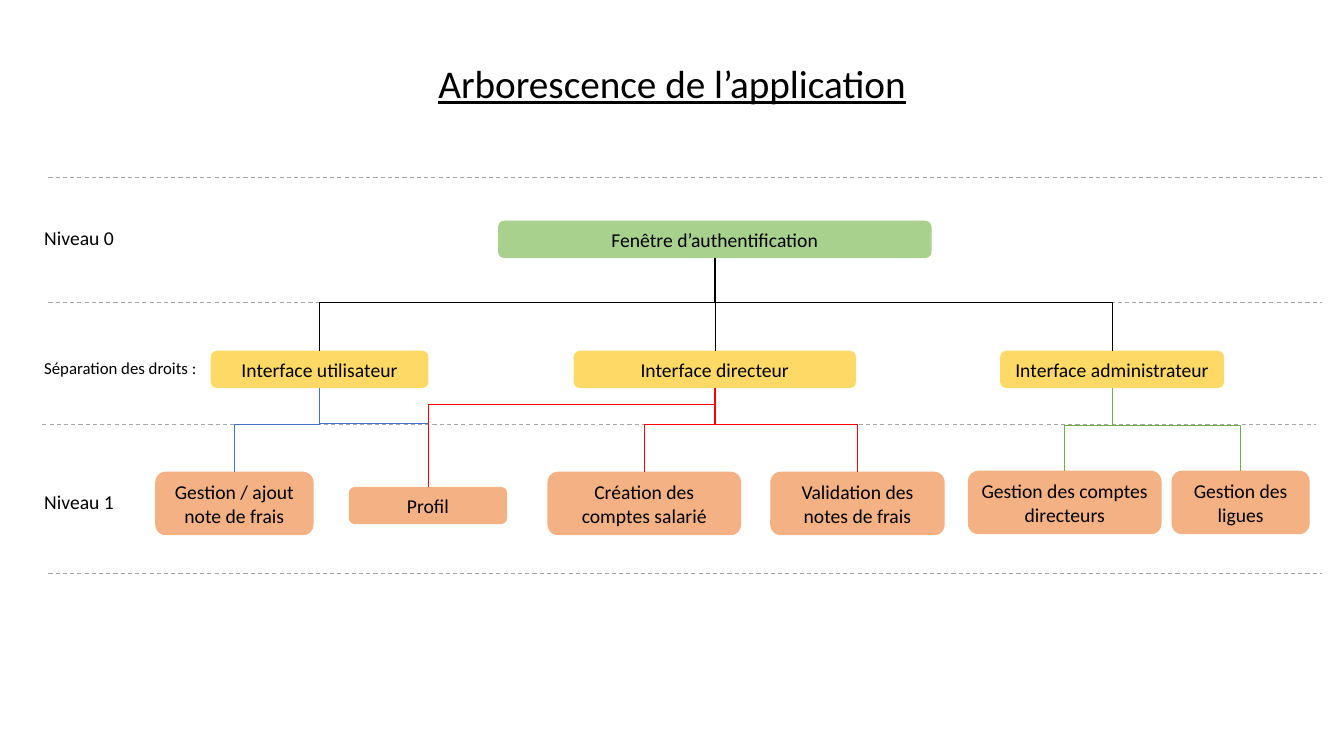
from lxml import etree
from pptx import Presentation
from pptx.dml.color import RGBColor
from pptx.enum.dml import MSO_LINE
from pptx.enum.shapes import MSO_CONNECTOR, MSO_SHAPE
from pptx.enum.text import MSO_ANCHOR, PP_ALIGN
from pptx.oxml.ns import qn
from pptx.util import Inches, Pt

STRAIGHT, ELBOW = MSO_CONNECTOR.STRAIGHT, MSO_CONNECTOR.ELBOW
ROUNDED = MSO_SHAPE.ROUNDED_RECTANGLE
DASH = MSO_LINE.DASH
MIDDLE, TOP = MSO_ANCHOR.MIDDLE, MSO_ANCHOR.TOP
LEFT, CENTER = PP_ALIGN.LEFT, PP_ALIGN.CENTER
BOTTOM_SITE, TOP_SITE = 2, 0

THEME = {
    "font": "Calibri", "text": "000000", "separator": "A5A5A5",
    "login": "A9D18E", "interface": "FFD966", "feature": "F4B183",
    "login_link": "000000", "user_link": "4472C4",
    "director_link": "FF0000", "admin_link": "70AD47",
    "title_size": 28, "body_size": 14, "note_size": 12,
}


def write_text(shape, text, size="body_size", align=CENTER, anchor=MIDDLE, underline=None):
    frame = shape.text_frame
    frame.word_wrap = True
    frame.vertical_anchor = anchor
    paragraph = frame.paragraphs[0]
    paragraph.alignment = align
    run = paragraph.add_run()
    run.text = text
    run.font.name = THEME["font"]
    run.font.size = Pt(THEME[size])
    run.font.underline = underline
    run.font.color.rgb = RGBColor.from_string(THEME["text"])


def style_line(connector, color, width):
    connector.line.color.rgb = RGBColor.from_string(THEME[color])
    connector.line.width = Pt(width)
    etree.SubElement(connector._element.spPr, qn("a:effectLst"))


presentation = Presentation()
presentation.slide_width = Inches(13.33)
presentation.slide_height = Inches(7.5)
slide = presentation.slides.add_slide(presentation.slide_layouts[6])

for left, top in [(0.48, 1.76), (0.48, 3), (0.42, 4.21), (0.48, 5.69)]:
    separator = slide.shapes.add_connector(
        STRAIGHT, Inches(left), Inches(top), Inches(left + 12.63), Inches(top))
    style_line(separator, "separator", 0.75)
    separator.line.dash_style = DASH

title = slide.shapes.add_textbox(Inches(4.02), Inches(0.54), Inches(5.29), Inches(0.57))
write_text(title, "Arborescence de l’application", size="title_size", anchor=TOP, underline=True)

for text, top, width, height, size in [
    ("Niveau 0", 2.19, 1.78, 0.34, "body_size"),
    ("Séparation des droits :", 3.5, 2.16, 0.3, "note_size"),
    ("Niveau 1", 4.81, 1.78, 0.34, "body_size"),
]:
    label = slide.shapes.add_textbox(Inches(0.34), Inches(top), Inches(width), Inches(height))
    write_text(label, text, size=size, align=LEFT, anchor=TOP)

nodes = {}
for name, text, left, top, width, height, fill in [
    ("login", "Fenêtre d’authentification", 4.94, 2.19, 4.3, 0.37, "login"),
    ("user", "Interface utilisateur", 2.09, 3.48, 2.16, 0.37, "interface"),
    ("director", "Interface directeur", 5.69, 3.48, 2.8, 0.37, "interface"),
    ("admin", "Interface administrateur", 9.92, 3.48, 2.22, 0.37, "interface"),
    ("expenses", "Gestion / ajout note de frais", 1.54, 4.68, 1.57, 0.63, "feature"),
    ("profile", "Profil", 3.46, 4.83, 1.57, 0.37, "feature"),
    ("employees", "Création des comptes salarié", 5.43, 4.68, 1.92, 0.63, "feature"),
    ("approval", "Validation des notes de frais", 7.64, 4.68, 1.73, 0.63, "feature"),
    ("directors", "Gestion des comptes directeurs", 9.6, 4.67, 1.92, 0.63, "feature"),
    ("leagues", "Gestion des ligues", 11.62, 4.67, 1.37, 0.63, "feature"),
]:
    node = slide.shapes.add_shape(ROUNDED, Inches(left), Inches(top), Inches(width), Inches(height))
    node.shadow.inherit = False
    node.fill.solid()
    node.fill.fore_color.rgb = RGBColor.from_string(THEME[fill])
    node.line.fill.background()
    write_text(node, text)
    nodes[name] = node

for parent_name, child_name, bend in [
    ("user", "profile", 4.2),
    ("user", "expenses", 4.21),
    ("director", "employees", 4.21),
    ("director", "approval", 4.21),
    ("login", "user", 3),
    ("login", "director", 3),
    ("login", "admin", 3),
    ("director", "profile", 4.01),
    ("admin", "leagues", 4.22),
    ("admin", "directors", 4.22),
]:
    parent, child = nodes[parent_name], nodes[child_name]
    start_x = parent.left + parent.width // 2
    start_y = parent.top + parent.height
    end_x = child.left + child.width // 2
    drop, shift = child.top - start_y, end_x - start_x
    link = slide.shapes.add_connector(ELBOW, start_x, start_y, end_x, child.top)
    link.begin_connect(parent, BOTTOM_SITE)
    link.end_connect(child, TOP_SITE)
    link.width, link.height = drop, abs(shift)
    link.left = (start_x + end_x - drop) // 2
    link.top = (start_y + child.top - abs(shift)) // 2
    transform = link._element.spPr.find(qn("a:xfrm"))
    transform.set("rot", str((270 if shift > 0 else 90) * 60000))
    transform.set("flipH", "1" if shift > 0 else "0")
    adjustments = link._element.spPr.find(qn("a:prstGeom")).find(qn("a:avLst"))
    ratio = round((Inches(bend) - start_y) / drop * 100000)
    etree.SubElement(adjustments, qn("a:gd"), name="adj1", fmla=f"val {ratio}")
    style_line(link, f"{parent_name}_link", 0.5)

presentation.save("out.pptx")
